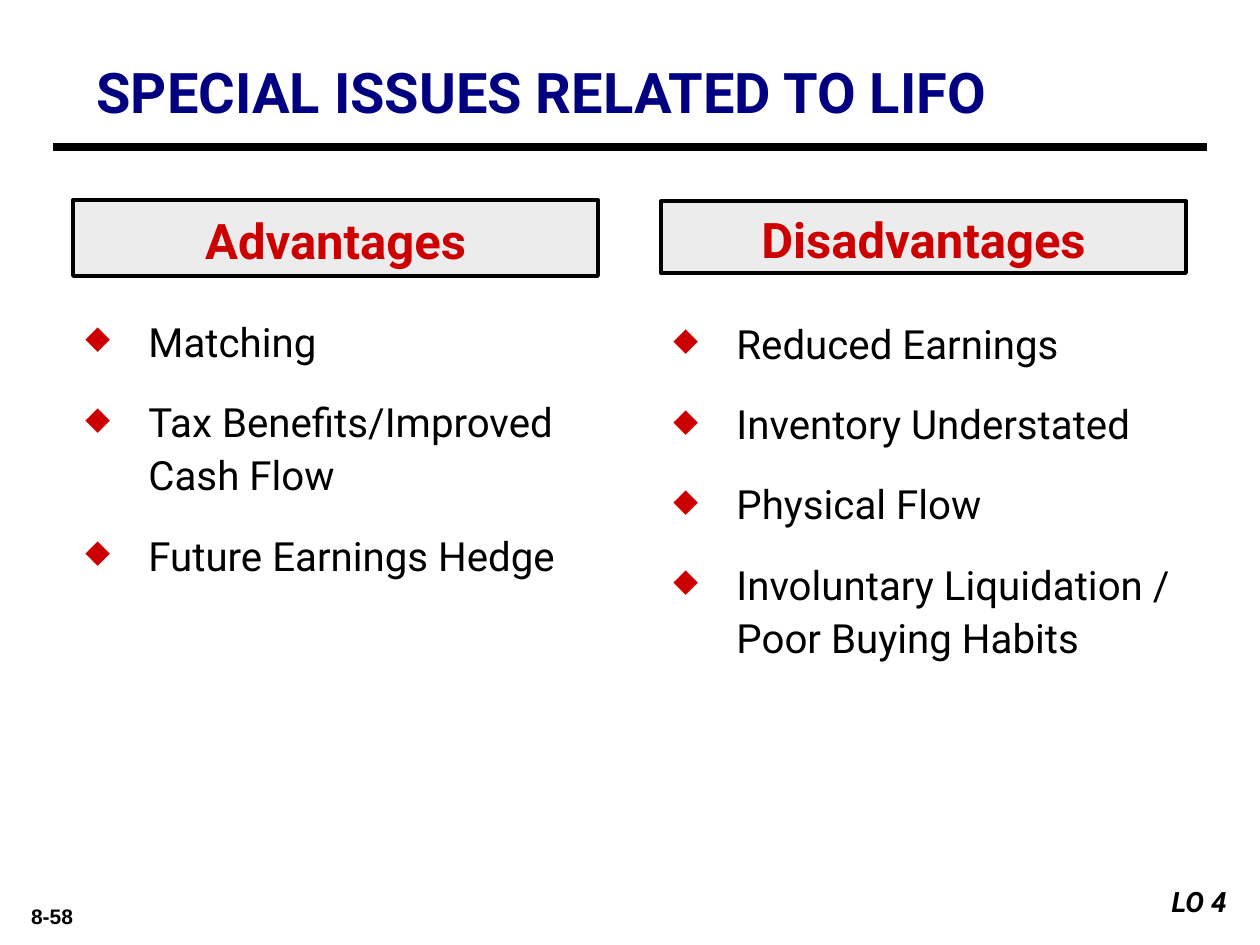
from lxml import etree
from pptx import Presentation
from pptx import util as u
from pptx.dml.color import RGBColor
from pptx.enum import shapes, text
from pptx.oxml import ns

PX = 914400 / 126
BLACK = RGBColor(0x00, 0x00, 0x00)
WHITE = RGBColor(0xFF, 0xFF, 0xFF)
NAVY = RGBColor(0x00, 0x00, 0x80)
RED = RGBColor(0xCC, 0x00, 0x00)
GREY = RGBColor(0xEC, 0xEC, 0xEC)

TITLE = dict(name="Roboto", size=u.Pt(32), bold=True)
HEADING = dict(name="Roboto", size=u.Pt(28), bold=True)
ITEM = dict(name="Roboto", size=u.Pt(23), bold=False)
OBJECTIVE = dict(name="Roboto", size=u.Pt(16), bold=True, italic=True)
NUMBER = dict(name="Arial", size=u.Pt(12), bold=True)


def px(*lengths):
    return [u.Emu(round(length * PX)) for length in lengths]


def write(box, lines, style, color, align=text.PP_ALIGN.LEFT,
          anchor=text.MSO_ANCHOR.TOP):
    """Fill a box with one styled paragraph per line and return the paragraphs."""
    frame = box.text_frame
    frame.word_wrap = True
    frame.auto_size = text.MSO_AUTO_SIZE.NONE
    frame.vertical_anchor = anchor
    frame.text = "\n".join(lines)
    for para in frame.paragraphs:
        para.alignment = align
        for span in para.runs:
            for key, value in style.items():
                setattr(span.font, key, value)
            span.font.color.rgb = color
    return frame.paragraphs


deck = Presentation()
deck.slide_width, deck.slide_height = px(1260, 945)
page = deck.slides.add_slide(deck.slide_layouts[5])

title = page.shapes.title
title.left, title.top, title.width, title.height = px(84, 53, 1124, 77)
write(title, ["SPECIAL ISSUES RELATED TO LIFO"], TITLE, NAVY,
      anchor=text.MSO_ANCHOR.MIDDLE)

rule = page.shapes.add_connector(shapes.MSO_CONNECTOR.STRAIGHT, *px(53, 147, 1207, 147))
rule.line.color.rgb = BLACK
rule.line.width = u.Pt(4.5)
etree.SubElement(rule._element.spPr, ns.qn("a:effectLst"))

# heading, left, heading top and height, list top and height, items
columns = [
    ("Advantages", 73, 200, 76, 306, 294,
     ["Matching", "Tax Benefits/Improved Cash Flow", "Future Earnings Hedge"]),
    ("Disadvantages", 661, 201, 72, 308, 467,
     ["Reduced Earnings", "Inventory Understated", "Physical Flow",
      "Involuntary Liquidation / Poor Buying Habits"]),
]
for heading, left, top, height, list_top, list_height, items in columns:
    box = page.shapes.add_shape(shapes.MSO_SHAPE.RECTANGLE, *px(left, top, 525, height))
    box.shadow.inherit = False
    box.fill.solid()
    box.fill.fore_color.rgb = GREY
    box.line.color.rgb = BLACK
    box.line.width = u.Pt(2.25)
    label = write(box, [heading], HEADING, RED, text.PP_ALIGN.CENTER,
                  text.MSO_ANCHOR.MIDDLE)[0]
    label.line_spacing = 1.05

    box = page.shapes.add_textbox(*px(left, list_top, 546, list_height))
    for index, para in enumerate(write(box, items, ITEM, BLACK)):
        props = para._p.get_or_add_pPr()
        indent = px(63)[0]
        props.set("marL", str(indent))
        props.set("indent", str(-indent))
        bullet_color = etree.SubElement(props, ns.qn("a:buClr"))
        etree.SubElement(bullet_color, ns.qn("a:srgbClr"), val=str(RED))
        etree.SubElement(props, ns.qn("a:buSzPct"), val="80000")
        etree.SubElement(props, ns.qn("a:buChar"), char="◆")
        para.line_spacing = 1.1
        para.space_before = u.Pt(11 if index else 0)
        para.space_after = u.Pt(4.6)

number = page.shapes.add_textbox(*px(10, 897, 84, 38))
write(number, ["8-58"], NUMBER, BLACK, text.PP_ALIGN.CENTER)

objective = page.shapes.add_shape(shapes.MSO_SHAPE.RECTANGLE, *px(1134, 878, 105, 47))
objective.shadow.inherit = False
objective.fill.solid()
objective.fill.fore_color.rgb = WHITE
objective.line.fill.background()
write(objective, ["LO 4"], OBJECTIVE, BLACK, text.PP_ALIGN.RIGHT)

deck.save("out.pptx")
